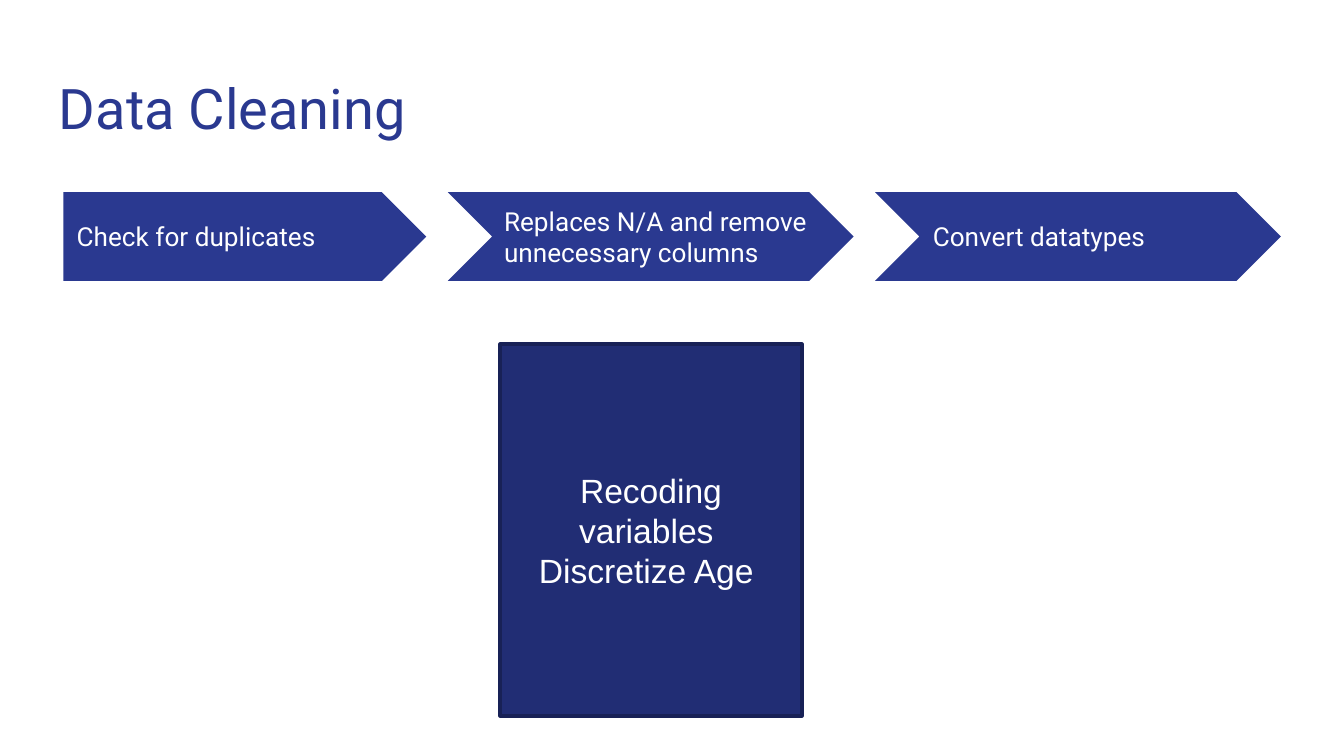
import pptx
import pptx.util
import pptx.dml.color
import pptx.enum.shapes
import pptx.enum.text

Pt = pptx.util.Pt
SHAPES = pptx.enum.shapes.MSO_SHAPE
COLOURS = {"blue": "2A3990", "navy": "212D74", "edge": "182156", "white": "FFFFFF"}
STEPS = [
    ("Check for duplicates", SHAPES.PENTAGON, 194.4, 0, 1),
    ("Replaces N/A and remove unnecessary columns", SHAPES.CHEVRON, 217.4, 23, 2),
    ("Convert datatypes ", SHAPES.CHEVRON, 217.4, 23.8, 1),
]
STEP_GAP = 11.5
LABEL_WIDTH = 178
LABEL_LINE = 12.25


def colour(name):
    return pptx.dml.color.RGBColor.from_string(COLOURS[name])


def write_lines(shape, lines, font, size, text_colour, alignment, anchor):
    frame = shape.text_frame
    frame.word_wrap = True
    frame.vertical_anchor = anchor
    frame.margin_left = frame.margin_right = Pt(7.2)
    frame.margin_top = frame.margin_bottom = Pt(7.2)
    frame.text = "\n".join(lines)
    for paragraph in frame.paragraphs:
        paragraph.alignment = alignment
        paragraph.font.name = font
        paragraph.font.size = Pt(size)
        paragraph.font.color.rgb = colour(text_colour)


def add_text(slide, left, top, width, height, text, size, text_colour, anchor):
    box = slide.shapes.add_textbox(Pt(left), Pt(top), Pt(width), Pt(height))
    write_lines(box, [text], "Roboto", size, text_colour,
                pptx.enum.text.PP_ALIGN.LEFT, anchor)


def add_filled(slide, kind, left, top, width, height, fill):
    shape = slide.shapes.add_shape(kind, Pt(left), Pt(top), Pt(width), Pt(height))
    shape.shadow.inherit = False
    shape.fill.solid()
    shape.fill.fore_color.rgb = colour(fill)
    shape.line.fill.background()
    return shape


def add_title(slide, left, top, width, height):
    add_text(slide, left, top, width, height, "Data Cleaning ", 30, "blue",
             pptx.enum.text.MSO_ANCHOR.TOP)


def add_steps(slide, left, top, height):
    for text, kind, width, indent, lines in STEPS:
        arrow = add_filled(slide, kind, left, top, width, height, "blue")
        arrow.adjustments[0] = 0.5
        label_height = LABEL_LINE * (lines + 1)
        add_text(slide, left + indent, top + (height - label_height) / 2,
                 LABEL_WIDTH, label_height, text, 14, "white",
                 pptx.enum.text.MSO_ANCHOR.MIDDLE)
        left += width + STEP_GAP


def add_recoding(slide, left, top, width, height):
    card = add_filled(slide, SHAPES.FLOWCHART_PROCESS, left, top, width, height, "navy")
    card.line.color.rgb = colour("edge")
    card.line.width = Pt(2)
    write_lines(card, ["Recoding variables ", "Discretize Age "], "Arial", 18, "white",
                pptx.enum.text.PP_ALIGN.CENTER, pptx.enum.text.MSO_ANCHOR.MIDDLE)


def main():
    presentation = pptx.Presentation()
    presentation.slide_width = Pt(720)
    presentation.slide_height = Pt(405)
    slide = presentation.slides.add_slide(presentation.slide_layouts[6])
    add_title(slide, 24.5, 32.4, 671, 47.5)
    add_steps(slide, 34, 103, 47.5)
    add_recoding(slide, 268, 184.5, 161.5, 199)
    presentation.save("out.pptx")


if __name__ == "__main__":
    main()
